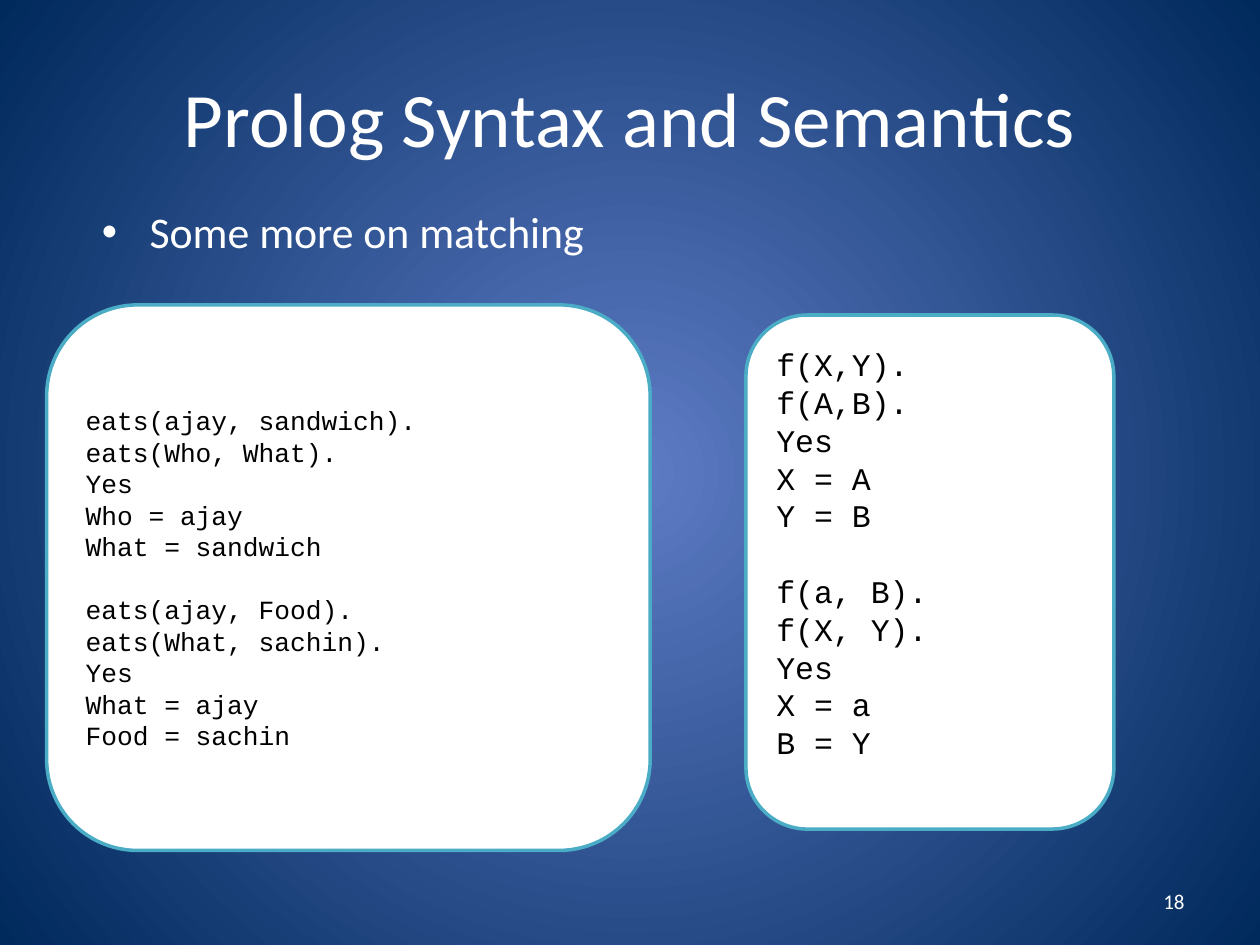
from lxml import etree
from pptx import Presentation
from pptx.dml.color import RGBColor as RGB
from pptx.enum.shapes import MSO_SHAPE as Shape
from pptx.enum.text import MSO_ANCHOR as Anchor, PP_ALIGN as Align
from pptx.oxml.ns import qn
from pptx.util import Inches, Pt

HUES = {"glow": "5E7CC5", "navy": "00295C", "white": "FFFFFF",
        "black": "000000", "teal": "4BACC6"}

TITLE = "Prolog Syntax and Semantics"
POINT = "Some more on matching"
PAGE = "18"
CARDS = [
    {"at": (0.37, 2.42, 4.79, 4.33), "size": 15, "foot": 0.05, "code": [
        ["eats(ajay, sandwich).", "eats(Who, What).", "Yes",
         "Who = ajay", "What = sandwich"],
        ["eats(ajay, Food).", "eats(What, sachin).", "Yes",
         "What = ajay", "Food = sachin"]]},
    {"at": (5.92, 2.5, 2.92, 4.08), "size": 18, "foot": 0.35, "code": [
        ["f(X,Y).", "f(A,B).", "Yes", "X = A", "Y = B"],
        ["f(a, B).", "f(X, Y).", "Yes", "X = a", "B = Y"]]},
]
LEAD = 1.2


def hue(name):
    return RGB.from_string(HUES[name])


def write(frame, groups, size, font="Calibri", color="white",
          align=Align.LEFT, anchor=Anchor.MIDDLE, bullet=None):
    frame.word_wrap = True
    frame.vertical_anchor = anchor
    for g, group in enumerate(groups):
        for n, line in enumerate(group):
            para = frame.paragraphs[0] if g == n == 0 else frame.add_paragraph()
            para.alignment = align
            if g and n == 0:
                para.space_before = Pt(size * LEAD)
            if bullet:
                props = para._p.get_or_add_pPr()
                props.set("marL", str(Inches(0.38)))
                props.set("indent", str(Inches(-0.38)))
                etree.SubElement(props, qn("a:buFont")).set("typeface", "Arial")
                etree.SubElement(props, qn("a:buChar")).set("char", bullet)
            run = para.add_run()
            run.text = line
            run.font.size = Pt(size)
            run.font.name = font
            run.font.color.rgb = hue(color)


def label(at, text, size, **form):
    box = slide.shapes.add_textbox(*map(Inches, at))
    write(box.text_frame, [[text]], size, **form)


def card(at, size, foot, code):
    box = slide.shapes.add_shape(Shape.ROUNDED_RECTANGLE, *map(Inches, at))
    box.shadow.inherit = False
    box.fill.solid()
    box.fill.fore_color.rgb = hue("white")
    box.line.color.rgb = hue("teal")
    box.line.width = Pt(2)
    box.text_frame.margin_bottom = Inches(foot)
    write(box.text_frame, code, size, font="Courier New", color="black")


def backdrop():
    fill = slide.background.fill
    fill.gradient()
    for stop, name in zip(fill.gradient_stops, ("glow", "navy")):
        stop.color.rgb = hue(name)
    grad = slide._element.find(".//" + qn("a:gradFill"))
    lin = grad.find(qn("a:lin"))
    ring = etree.Element(qn("a:path"), {"path": "circle"})
    etree.SubElement(ring, qn("a:fillToRect"), dict.fromkeys("ltrb", "50000"))
    grad.replace(lin, ring)


deck = Presentation()
deck.slide_width, deck.slide_height = Inches(10), Inches(7.5)
slide = deck.slides.add_slide(deck.slide_layouts[6])
backdrop()
label((0.5, 0.3, 9, 1.25), TITLE, 44, align=Align.CENTER)
label((0.71, 1.58, 8.5, 1.17), POINT, 25, anchor=Anchor.TOP, bullet="•")
label((7.17, 6.95, 2.33, 0.4), PAGE, 12, align=Align.RIGHT)
for item in CARDS:
    card(**item)
deck.save("out.pptx")
